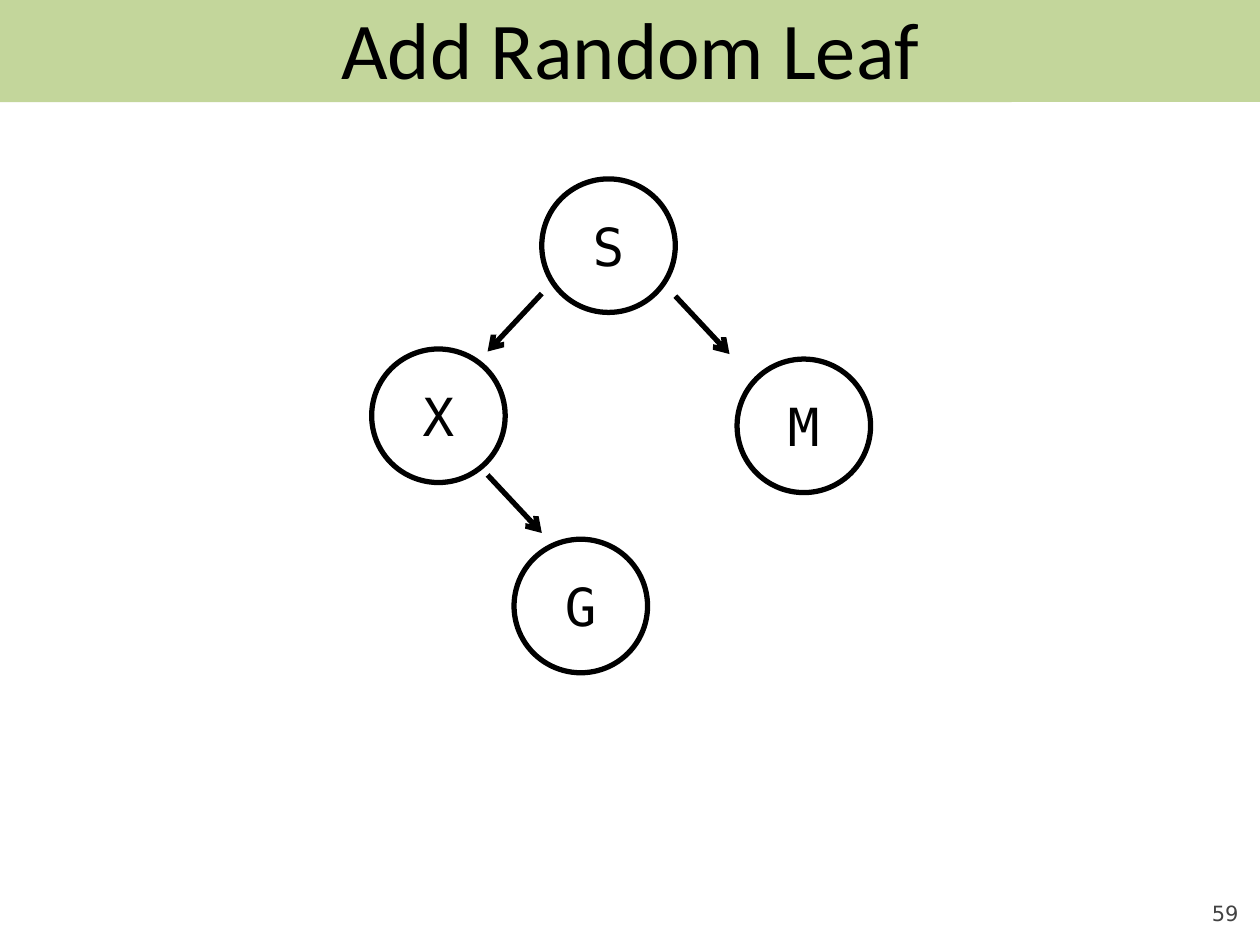
import pptx
import pptx.util
import pptx.dml.color
import pptx.enum.shapes
import pptx.enum.text
import pptx.oxml.ns
import lxml.etree

Inches, Pt = pptx.util.Inches, pptx.util.Pt
RGBColor = pptx.dml.color.RGBColor
MSO_SHAPE = pptx.enum.shapes.MSO_SHAPE
PP_ALIGN = pptx.enum.text.PP_ALIGN
MSO_ANCHOR = pptx.enum.text.MSO_ANCHOR
qn = pptx.oxml.ns.qn

BLACK = RGBColor(0x00, 0x00, 0x00)
GREEN = RGBColor(0xC3, 0xD6, 0x9B)
GREY = RGBColor(0x42, 0x42, 0x42)

WIDTH, HEIGHT = 10, 7.5
TITLE = "Add Random Leaf"
PAGE = "59"
NODE_SIZE = 1.06
NODES = {"S": (4.3, 1.42), "X": (2.95, 2.77), "M": (5.85, 2.85), "G": (4.08, 4.28)}
EDGE_STARTS = [(4.3, 2.33, -1), (5.36, 2.35, 1), (3.87, 3.77, 1)]
EDGE_DX, EDGE_DY = 0.43, 0.46


def write(tf, text, size, font, color, align, anchor):
    tf.word_wrap = True
    tf.auto_size = pptx.enum.text.MSO_AUTO_SIZE.NONE
    tf.vertical_anchor = anchor
    p = tf.paragraphs[0]
    p.alignment = align
    r = p.add_run()
    r.text = text
    r.font.size = Pt(size)
    r.font.name = font
    r.font.color.rgb = color


def style_line(line):
    line.color.rgb = BLACK
    line.width = Pt(3)


def add_node(s, label, left, top):
    sp = s.shapes.add_shape(MSO_SHAPE.OVAL, Inches(left), Inches(top),
                            Inches(NODE_SIZE), Inches(NODE_SIZE))
    sp.shadow.inherit = False
    sp.fill.background()
    style_line(sp.line)
    write(sp.text_frame, label, 30, "DejaVu Sans Mono", BLACK,
          PP_ALIGN.CENTER, MSO_ANCHOR.MIDDLE)


def add_edge(s, x, y, side):
    edge = s.shapes.add_connector(pptx.enum.shapes.MSO_CONNECTOR.STRAIGHT,
                                  Inches(x), Inches(y),
                                  Inches(x + side * EDGE_DX), Inches(y + EDGE_DY))
    style_line(edge.line)
    lxml.etree.SubElement(edge.line._get_or_add_ln(), qn("a:tailEnd"), type="arrow")
    lxml.etree.SubElement(edge._element.spPr, qn("a:effectLst"))


def main():
    prs = pptx.Presentation()
    prs.slide_width, prs.slide_height = Inches(WIDTH), Inches(HEIGHT)
    s = prs.slides.add_slide(prs.slide_layouts[5])

    banner = s.shapes.add_shape(MSO_SHAPE.ROUNDED_RECTANGLE, 0, 0,
                                prs.slide_width, Inches(0.81))
    banner.adjustments[0] = 0.001
    banner.shadow.inherit = False
    banner.fill.solid()
    banner.fill.fore_color.rgb = GREEN
    banner.line.fill.background()

    title = s.shapes.title
    banner._element.addnext(title._element)
    title.left, title.top = Inches(0.05 * WIDTH), 0
    title.width, title.height = Inches(0.9 * WIDTH), Inches(0.1 * HEIGHT)
    write(title.text_frame, TITLE, 46, "Calibri", BLACK,
          PP_ALIGN.CENTER, MSO_ANCHOR.MIDDLE)

    page = s.shapes.add_textbox(Inches(9), Inches(6.95), Inches(0.83), Inches(0.4))
    tf = page.text_frame
    tf.margin_left = tf.margin_right = tf.margin_top = tf.margin_bottom = 0
    write(tf, PAGE, 12, "DejaVu Sans", GREY, PP_ALIGN.RIGHT, MSO_ANCHOR.BOTTOM)

    for label, (left, top) in NODES.items():
        add_node(s, label, left, top)
    for start in EDGE_STARTS:
        add_edge(s, *start)

    prs.save("out.pptx")


if __name__ == "__main__":
    main()
